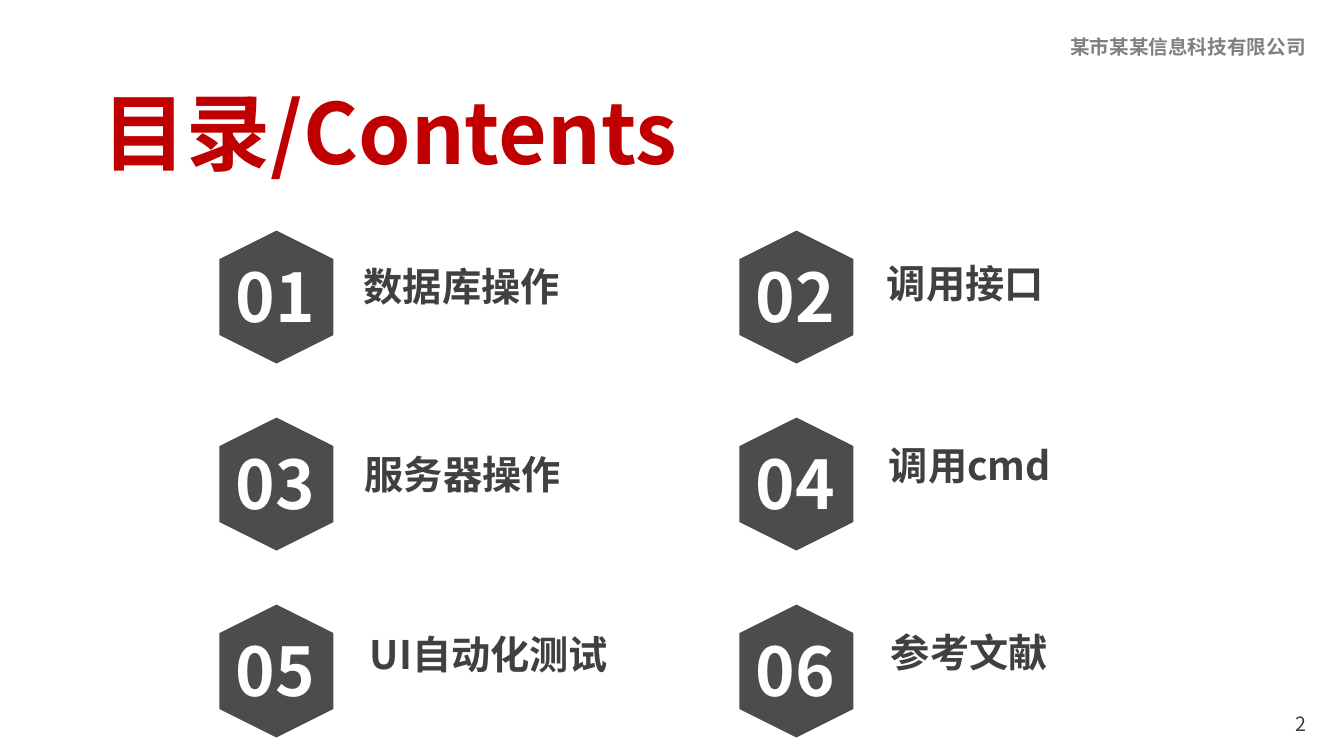
import dataclasses

import lxml.etree
import pptx
import pptx.dml.color
import pptx.enum.shapes
import pptx.enum.text
import pptx.oxml.ns
import pptx.presentation
import pptx.shapes.autoshape
import pptx.slide
import pptx.util

EMU_PER_PX = 914400 / 100.8
Align = pptx.enum.text.PP_ALIGN
Anchor = pptx.enum.text.MSO_ANCHOR


@dataclasses.dataclass(frozen=True)
class Theme:
    font: str = "Noto Sans CJK SC"
    title_color: str = "C00000"
    label_color: str = "404040"
    company_color: str = "808080"
    number_color: str = "FFFFFF"
    badge_color: str = "000000"
    badge_opacity: int = 70
    title_size: int = 60
    number_size: int = 48
    label_size: int = 28
    small_size: int = 14


@dataclasses.dataclass(frozen=True)
class Frame:
    left: int
    top: int
    width: int
    height: int


@dataclasses.dataclass(frozen=True)
class Text:
    words: str
    frame: Frame
    size: int
    color: str
    bold: bool = True
    align: Align = Align.LEFT
    anchor: Anchor = Anchor.TOP


@dataclasses.dataclass(frozen=True)
class Chapter:
    title: str
    label_left: int
    label_top: int
    label_width: int


THEME = Theme()
COLUMNS = 2
GRID_LEFT, GRID_TOP = 210, 240
COLUMN_STEP, ROW_STEP = 520, 187
BADGE_WIDTH, BADGE_HEIGHT = 133, 114
NUMBER_OFFSET_X, NUMBER_OFFSET_Y = 16, 10

CHAPTERS = [
    Chapter("数据库操作", 354, 257, 220),
    Chapter("调用接口", 877, 254, 180),
    Chapter("服务器操作", 355, 445, 220),
    Chapter("调用cmd", 879, 436, 183),
    Chapter("UI自动化测试", 360, 625, 260),
    Chapter("参考文献", 881, 623, 180),
]

PAGE_TEXTS = [
    Text("某市某某信息科技有限公司", Frame(1048, 30, 268, 34),
         THEME.small_size, THEME.company_color, align=Align.RIGHT),
    Text("目录/Contents", Frame(93, 76, 681, 112),
         THEME.title_size, THEME.title_color),
    Text("2", Frame(1014, 704, 302, 40), THEME.small_size,
         THEME.label_color, bold=False, align=Align.RIGHT,
         anchor=Anchor.MIDDLE),
]


def px(length: int) -> pptx.util.Emu:
    return pptx.util.Emu(round(length * EMU_PER_PX))


def place(frame: Frame) -> tuple[pptx.util.Emu, ...]:
    return tuple(px(length) for length in dataclasses.astuple(frame))


def rgb(color: str) -> pptx.dml.color.RGBColor:
    return pptx.dml.color.RGBColor.from_string(color)


def add_text(page: pptx.slide.Slide, text: Text) -> None:
    box = page.shapes.add_textbox(*place(text.frame))
    box.text_frame.word_wrap = True
    box.text_frame.vertical_anchor = text.anchor
    para = box.text_frame.paragraphs[0]
    para.text = text.words
    para.alignment = text.align
    para.font.size = pptx.util.Pt(text.size)
    para.font.bold = text.bold
    para.font.color.rgb = rgb(text.color)
    para.font.name = THEME.font
    defaults = para._p.pPr.find(pptx.oxml.ns.qn("a:defRPr"))
    east_asian = lxml.etree.SubElement(defaults, pptx.oxml.ns.qn("a:ea"))
    east_asian.set("typeface", THEME.font)


def add_badge(page: pptx.slide.Slide, frame: Frame) -> None:
    badge = page.shapes.add_shape(
        pptx.enum.shapes.MSO_SHAPE.HEXAGON, *place(frame))
    badge.rotation = 270
    badge.shadow.inherit = False
    badge.line.fill.background()
    badge.fill.solid()
    badge.fill.fore_color.rgb = rgb(THEME.badge_color)
    color = badge._element.spPr.find(
        f"{pptx.oxml.ns.qn('a:solidFill')}/{pptx.oxml.ns.qn('a:srgbClr')}")
    alpha = lxml.etree.SubElement(color, pptx.oxml.ns.qn("a:alpha"))
    alpha.set("val", str(THEME.badge_opacity * 1000))


def add_chapter(page: pptx.slide.Slide, index: int, chapter: Chapter) -> None:
    row, column = divmod(index, COLUMNS)
    left = GRID_LEFT + column * COLUMN_STEP
    top = GRID_TOP + row * ROW_STEP
    add_badge(page, Frame(left, top, BADGE_WIDTH, BADGE_HEIGHT))
    add_text(page, Text(
        f"{index + 1:02}",
        Frame(left + NUMBER_OFFSET_X, top + NUMBER_OFFSET_Y, 130, 92),
        THEME.number_size, THEME.number_color))
    add_text(page, Text(
        chapter.title,
        Frame(chapter.label_left, chapter.label_top, chapter.label_width, 57),
        THEME.label_size, THEME.label_color))


def main() -> None:
    deck = pptx.Presentation()
    deck.slide_width, deck.slide_height = px(1344), px(756)
    page = deck.slides.add_slide(deck.slide_layouts[6])
    for text in PAGE_TEXTS:
        add_text(page, text)
    for index, chapter in enumerate(CHAPTERS):
        add_chapter(page, index, chapter)
    deck.save("out.pptx")


if __name__ == "__main__":
    main()
